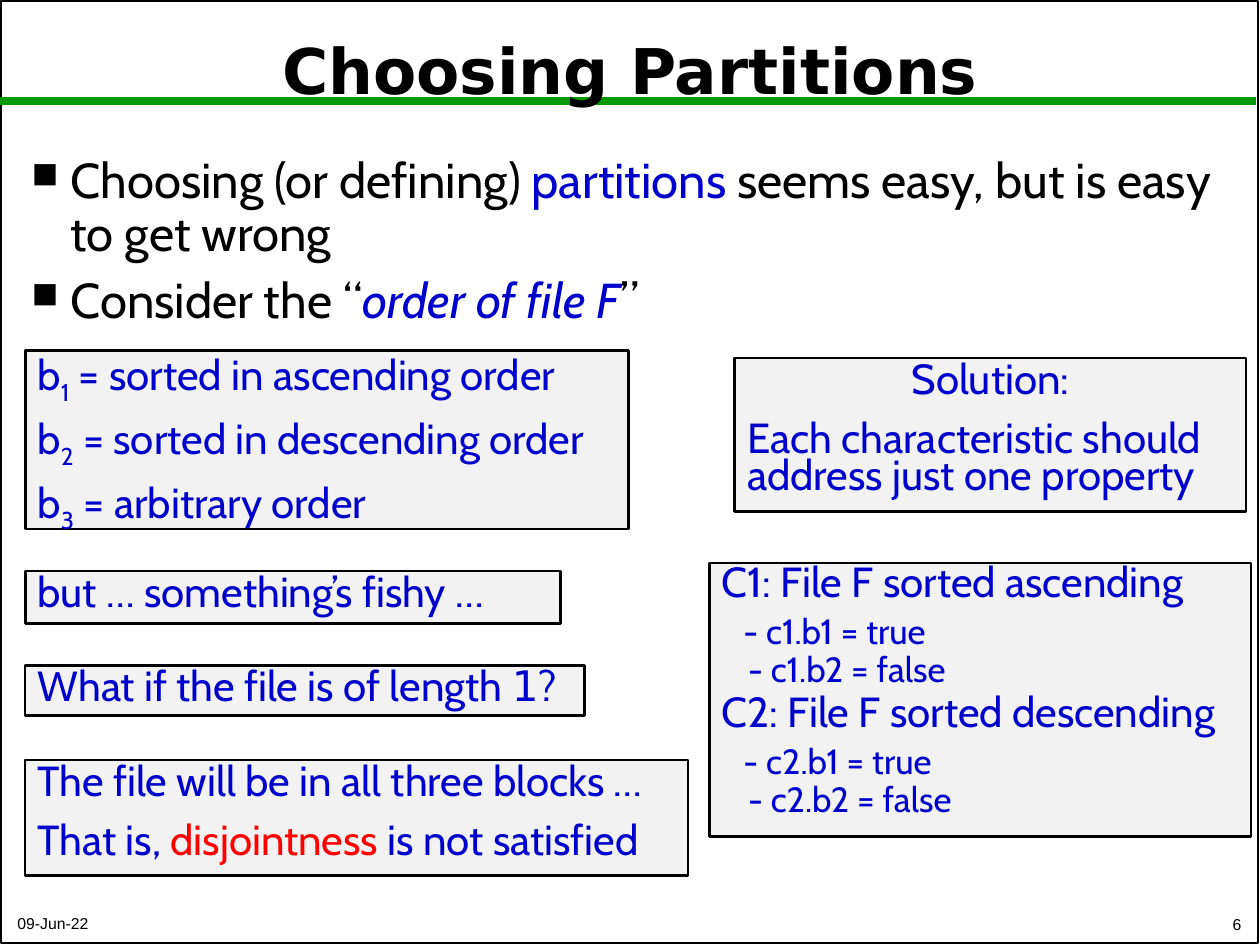
from dataclasses import dataclass, field

from lxml.etree import SubElement
from pptx import Presentation
from pptx.dml.color import RGBColor
from pptx.enum.shapes import MSO_CONNECTOR, MSO_SHAPE
from pptx.enum.text import MSO_ANCHOR, PP_ALIGN
from pptx.oxml.ns import qn
from pptx.util import Pt

BLACK = RGBColor(0x00, 0x00, 0x00)
BLUE = RGBColor(0x00, 0x00, 0xCC)
RED = RGBColor(0xFF, 0x00, 0x00)
GREEN = RGBColor(0x00, 0x99, 0x00)
GREY = RGBColor(0xF2, 0xF2, 0xF2)
LEFT_X = 14.4


@dataclass
class Run:
    text: str
    color: RGBColor | None = None
    font: str | None = None
    italic: bool = False
    sub: bool = False


@dataclass
class Para:
    runs: list[Run]
    size: float = 24
    before: float = 0
    spacing: float = 0.75
    align: PP_ALIGN = PP_ALIGN.LEFT
    indent: float = 0
    bullet: str = ""


@dataclass
class Block:
    x: float
    y: float
    w: float
    h: float
    paras: list[Para]
    font: str = "Cabin"
    color: RGBColor = BLUE
    bold: bool = False
    anchor: MSO_ANCHOR = MSO_ANCHOR.TOP
    boxed: bool = field(default=True, kw_only=True)


def set_all(obj, values: dict) -> None:
    for name, value in values.items():
        setattr(obj, name, value)


def add_frame(s, x: float, y: float, w: float, h: float, line: float):
    """Add a black-edged rectangle without fill."""
    sp = s.shapes.add_shape(MSO_SHAPE.RECTANGLE, Pt(x), Pt(y), Pt(w), Pt(h))
    sp.shadow.inherit = False
    sp.fill.background()
    sp.line.color.rgb = BLACK
    sp.line.width = Pt(line)
    return sp


def indent_para(p, para: Para) -> None:
    """Set the left indent and, if there is one, the hanging bullet."""
    pPr = p._p.get_or_add_pPr()
    pPr.set("marL", str(Pt(para.indent)))
    if para.bullet:
        pPr.set("indent", str(-Pt(para.indent)))
        SubElement(pPr, qn("a:buSzPct"), val="75000")
        SubElement(pPr, qn("a:buChar"), char=para.bullet)


def add_block(s, b: Block) -> None:
    if b.boxed:
        sp = add_frame(s, b.x, b.y, b.w, b.h, 1.5)
        sp.fill.solid()
        sp.fill.fore_color.rgb = GREY
    else:
        sp = s.shapes.add_textbox(Pt(b.x), Pt(b.y), Pt(b.w), Pt(b.h))
    tf = sp.text_frame
    set_all(tf, {"word_wrap": True, "vertical_anchor": b.anchor})
    for i, para in enumerate(b.paras):
        p = tf.add_paragraph() if i else tf.paragraphs[0]
        set_all(p, {"alignment": para.align, "line_spacing": para.spacing,
                    "space_before": Pt(para.before)})
        if para.indent:
            indent_para(p, para)
        for run in para.runs:
            r = p.add_run()
            r.text = run.text
            set_all(r.font, {"name": run.font or b.font, "size": Pt(para.size),
                             "bold": b.bold, "italic": run.italic})
            r.font.color.rgb = run.color or b.color
            if run.sub:
                r.font._element.set("baseline", "-25000")


def block_para(n: int, order: str) -> Para:
    return Para([Run("b"), Run(str(n), sub=True), Run(f" = {order} order")],
                before=12 if n > 1 else 0)


def characteristic(n: int, order: str) -> list[Para]:
    """One characteristic with its two blocks."""
    return [
        Para([Run(f"C{n}: File F sorted {order}")], spacing=0.7,
             before=6 if n > 1 else 0),
        Para([Run(f"- c{n}.b1 = true")], 20, 9.4, 0.7, indent=12.4),
        Para([Run(f"- c{n}.b2 = false")], 20, 5, 0.7, indent=15),
    ]


def body_para(runs: list[Run], before: float = 0) -> Para:
    return Para(runs, 28, before, 0.9, indent=22.5, bullet="■")


TITLE = Block(3.6, 7.9, 712.8, 68.4,
              [Para([Run("Choosing Partitions")], 36, 0, 0.9, PP_ALIGN.CENTER)],
              "DejaVu Sans", BLACK, True, MSO_ANCHOR.MIDDLE, boxed=False)

BODY = Block(10.8, 85.7, 698.4, 116.6, [
    body_para([Run("Choosing (or defining) "), Run("partitions ", BLUE),
               Run("seems easy, but is easy to get wrong")]),
    body_para([Run("Consider the “"), Run("order of file F", BLUE, italic=True),
               Run("”")], 8),
], color=BLACK, boxed=False)

BOXES = [
    # Left column: blocks and the flaw in them
    Block(LEFT_X, 200.2, 344.9, 102.2, [
        block_para(1, "sorted in ascending"),
        block_para(2, "sorted in descending"),
        block_para(3, "arbitrary")]),
    Block(LEFT_X, 326.2, 306, 30.2, [Para([Run("but … something’s fishy …")])]),
    Block(LEFT_X, 380.2, 319.7, 28.8, [
        Para([Run("What if the file is of length "),
              Run("1", font="DejaVu Sans"), Run("?")])]),
    Block(LEFT_X, 434.2, 378.7, 66.2, [
        Para([Run("The file will be in all three blocks …")]),
        Para([Run("That is, "), Run("disjointness ", RED),
              Run("is not satisfied")], before=12)]),
    # Right column: solution
    Block(419.8, 204.5, 292.3, 87.8, [
        Para([Run("Solution:")], align=PP_ALIGN.CENTER),
        Para([Run("Each characteristic should address just one property")],
             before=12)]),
    Block(405.4, 321.8, 309.6, 156.2,
          characteristic(1, "ascending") + characteristic(2, "descending")),
]


def footer(x: float, y: float, w: float, h: float, text: str,
           align: PP_ALIGN) -> Block:
    return Block(x, y, w, h, [Para([Run(text)], 9, 0, 1.0, align)],
                 "Arial", BLACK, anchor=MSO_ANCHOR.BOTTOM, boxed=False)


def main() -> None:
    prs = Presentation()
    set_all(prs, {"slide_width": Pt(720), "slide_height": Pt(540)})
    s = prs.slides.add_slide(prs.slide_layouts[6])

    # Page border and title rule
    add_frame(s, 0.7, 0.7, 718, 538, 1)
    rule = s.shapes.add_connector(MSO_CONNECTOR.STRAIGHT,
                                  Pt(0), Pt(57.6), Pt(718), Pt(57.6))
    rule.line.color.rgb = GREEN
    rule.line.width = Pt(4.5)
    SubElement(rule._element.spPr, qn("a:effectLst"))

    # Text, boxes and footer
    for b in [TITLE, BODY, *BOXES,
              footer(2.9, 517, 302.4, 19.4, "09-Jun-22", PP_ALIGN.LEFT),
              footer(566.6, 516.2, 149.8, 20.9, "6", PP_ALIGN.RIGHT)]:
        add_block(s, b)

    prs.save("out.pptx")


if __name__ == "__main__":
    main()
